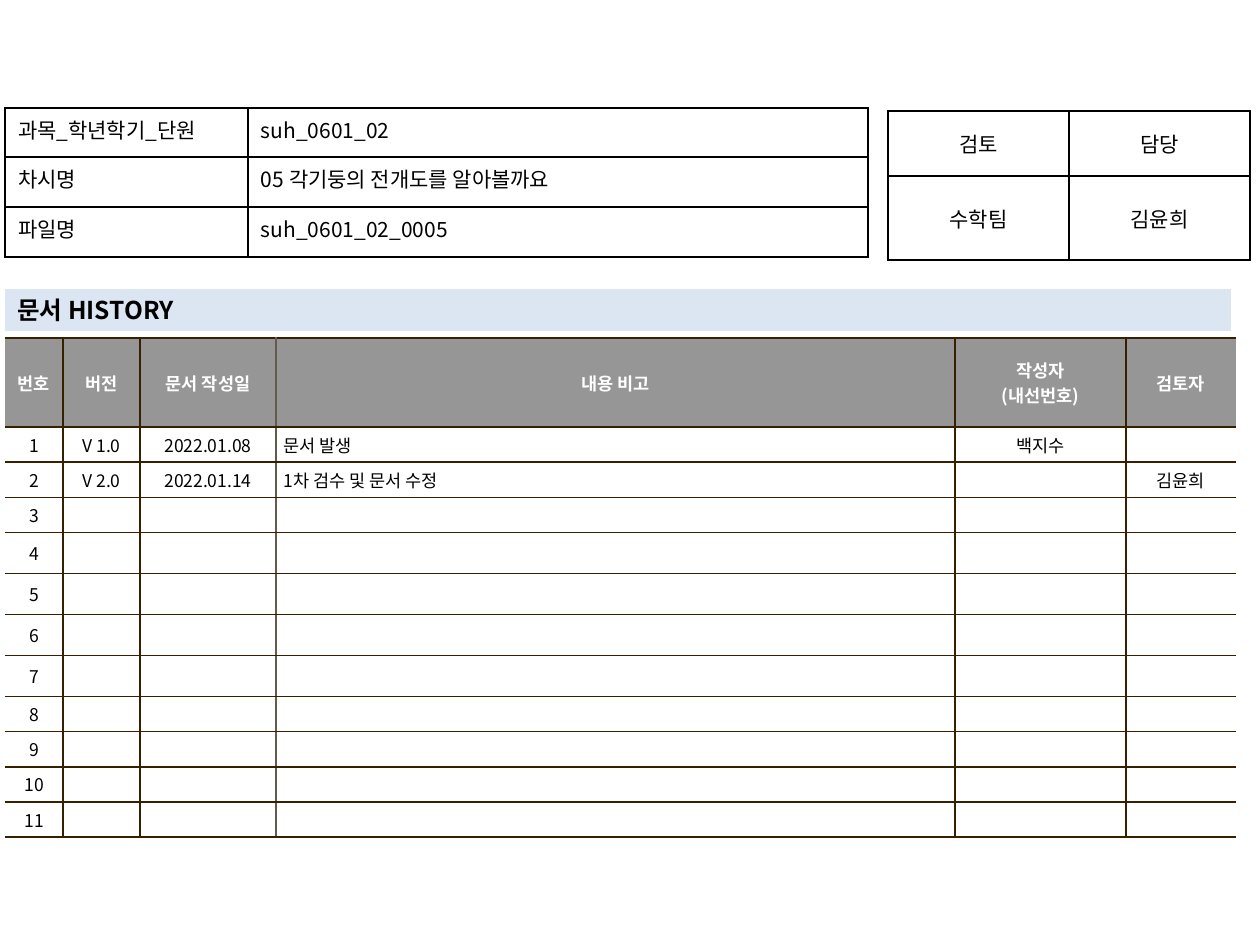
from dataclasses import dataclass
from typing import Optional

from lxml.etree import SubElement
from pptx import Presentation
from pptx.dml.color import RGBColor
from pptx.enum.shapes import MSO_SHAPE
from pptx.enum.text import MSO_ANCHOR, PP_ALIGN
from pptx.oxml.ns import qn
from pptx.util import Emu, Pt

FONT = "Noto Sans CJK KR"
COLORS = {
    "black": "000000", "white": "FFFFFF", "header": "969696",
    "brown": "362000", "taupe": "645B4C", "band": "DCE6F2",
}
LEFT, CENTER, JUSTIFY = PP_ALIGN.LEFT, PP_ALIGN.CENTER, PP_ALIGN.JUSTIFY


def px(n: int) -> Emu:
    return Emu(round(n * 914400 / 126))


def rgb(name: str) -> RGBColor:
    return RGBColor.from_string(COLORS[name])


@dataclass
class TableSpec:
    x: int
    y: int
    cols: list[int]
    rows: list[int]
    texts: list[list[str]]
    aligns: list[PP_ALIGN]
    size: int
    border: str
    anchor: MSO_ANCHOR = MSO_ANCHOR.MIDDLE
    margins: tuple[int, int] = (13, 6)
    header: bool = False
    fill: Optional[str] = None
    open_sides: bool = False
    taupe_after: Optional[int] = None


def add_text(tf, text: str, size: int, color: str, bold: bool, align: PP_ALIGN) -> None:
    for i, line in enumerate(text.split("\n")):
        p = tf.paragraphs[0] if i == 0 else tf.add_paragraph()
        p.alignment = align
        if not line:
            # Keep empty cells from stretching their row
            SubElement(p._p, qn("a:endParaRPr"), sz=str(size * 100))
            continue
        r = p.add_run()
        r.text = line
        r.font.name, r.font.size, r.font.bold = FONT, Pt(size), bold
        r.font.color.rgb = rgb(color)
        SubElement(r.font._element, qn("a:ea"), typeface=FONT)


def set_borders(cell, sides: dict[str, Optional[str]]) -> None:
    tcPr = cell._tc.get_or_add_tcPr()
    for side, color in sides.items():
        ln = SubElement(tcPr, qn(f"a:ln{side}"), w=str(Pt(1)))
        if color is None:
            SubElement(ln, qn("a:noFill"))
        else:
            fill = SubElement(ln, qn("a:solidFill"))
            SubElement(fill, qn("a:srgbClr"), val=COLORS[color])


def border_colors(spec: TableSpec, col: int) -> dict[str, Optional[str]]:
    sides = dict.fromkeys("LRTB", spec.border)
    if spec.open_sides and col == 0:
        sides["L"] = None
    if spec.open_sides and col == len(spec.cols) - 1:
        sides["R"] = None
    if spec.taupe_after is not None:
        if col == spec.taupe_after:
            sides["R"] = "taupe"
        elif col == spec.taupe_after + 1:
            sides["L"] = "taupe"
    return sides


def draw_table(s, spec: TableSpec) -> None:
    table = s.shapes.add_table(
        len(spec.rows), len(spec.cols), px(spec.x), px(spec.y),
        px(sum(spec.cols)), px(sum(spec.rows))).table
    table.first_row = table.horz_banding = False
    for column, width in zip(table.columns, spec.cols):
        column.width = px(width)
    for row, height in zip(table.rows, spec.rows):
        row.height = px(height)
    for i, texts in enumerate(spec.texts):
        is_header = spec.header and i == 0
        for j, text in enumerate(texts):
            cell = table.cell(i, j)
            cell.vertical_anchor = spec.anchor
            cell.margin_left = cell.margin_right = px(spec.margins[0])
            cell.margin_top = cell.margin_bottom = px(spec.margins[1])
            set_borders(cell, border_colors(spec, j))
            if spec.fill is None:
                cell.fill.background()
            else:
                cell.fill.solid()
                cell.fill.fore_color.rgb = rgb("header" if is_header else spec.fill)
            add_text(cell.text_frame, text, spec.size,
                     "white" if is_header else "black", is_header,
                     CENTER if is_header else spec.aligns[j])


def draw_title_band(s, text: str) -> None:
    sp = s.shapes.add_shape(MSO_SHAPE.RECTANGLE, px(5), px(289), px(1226), px(42))
    sp.shadow.inherit = False
    sp.fill.solid()
    sp.fill.fore_color.rgb = rgb("band")
    sp.line.fill.background()
    tf = sp.text_frame
    tf.word_wrap = True
    tf.vertical_anchor = MSO_ANCHOR.MIDDLE
    add_text(tf, text, 14, "black", True, LEFT)


# Document history
entries = {
    1: ["V 1.0", "2022.01.08", "문서 발생", "백지수", ""],
    2: ["V 2.0", "2022.01.14", "1차 검수 및 문서 수정", "", "김윤희"],
}
history = TableSpec(
    x=5, y=338, cols=[58, 77, 136, 679, 171, 110],
    rows=[89] + [41 if 4 <= n <= 7 else 35 for n in range(1, 12)],
    texts=[["번호", "버전", "문서 작성일", "내용 비고", "작성자\n(내선번호)", "검토자"]]
    + [[str(n), *entries.get(n, [""] * 5)] for n in range(1, 12)],
    aligns=[CENTER, CENTER, CENTER, LEFT, CENTER, CENTER],
    size=10, border="brown", margins=(8, 5), header=True, fill="white",
    open_sides=True, taupe_after=2)

# Review sign-off
review = TableSpec(
    x=888, y=111, cols=[181, 181], rows=[65, 84],
    texts=[["검토", "담당"], ["수학팀", "김윤희"]],
    aligns=[CENTER, CENTER], size=12, border="black")

# Lesson details
lesson = TableSpec(
    x=5, y=108, cols=[243, 620], rows=[49, 50, 50],
    texts=[["과목_학년학기_단원", "suh_0601_02"],
           ["차시명", "05 각기둥의 전개도를 알아볼까요"],
           ["파일명", "suh_0601_02_0005"]],
    aligns=[JUSTIFY, LEFT], size=12, border="black", anchor=MSO_ANCHOR.TOP)


def main() -> None:
    prs = Presentation()
    prs.slide_width, prs.slide_height = px(1260), px(945)
    s = prs.slides.add_slide(prs.slide_layouts[6])
    draw_table(s, history)
    draw_table(s, review)
    draw_title_band(s, "문서 HISTORY")
    draw_table(s, lesson)
    prs.save("out.pptx")


if __name__ == "__main__":
    main()
